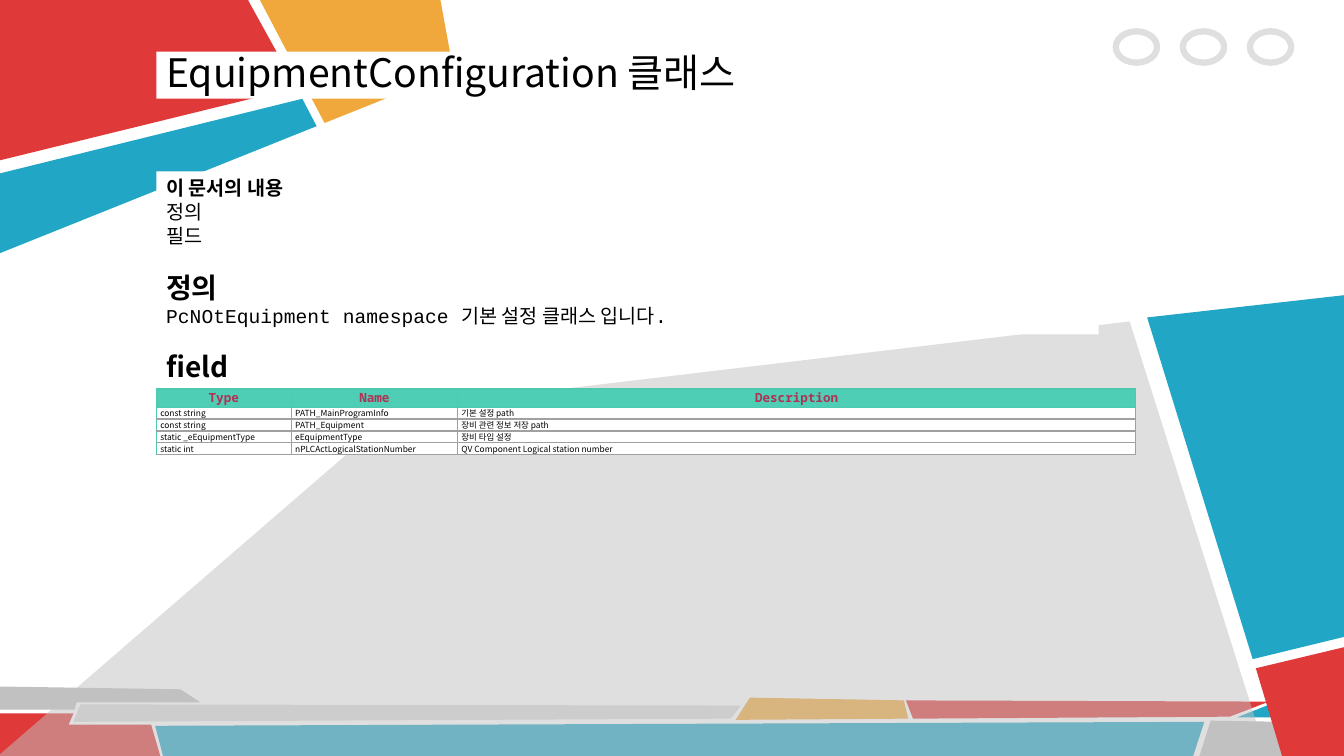
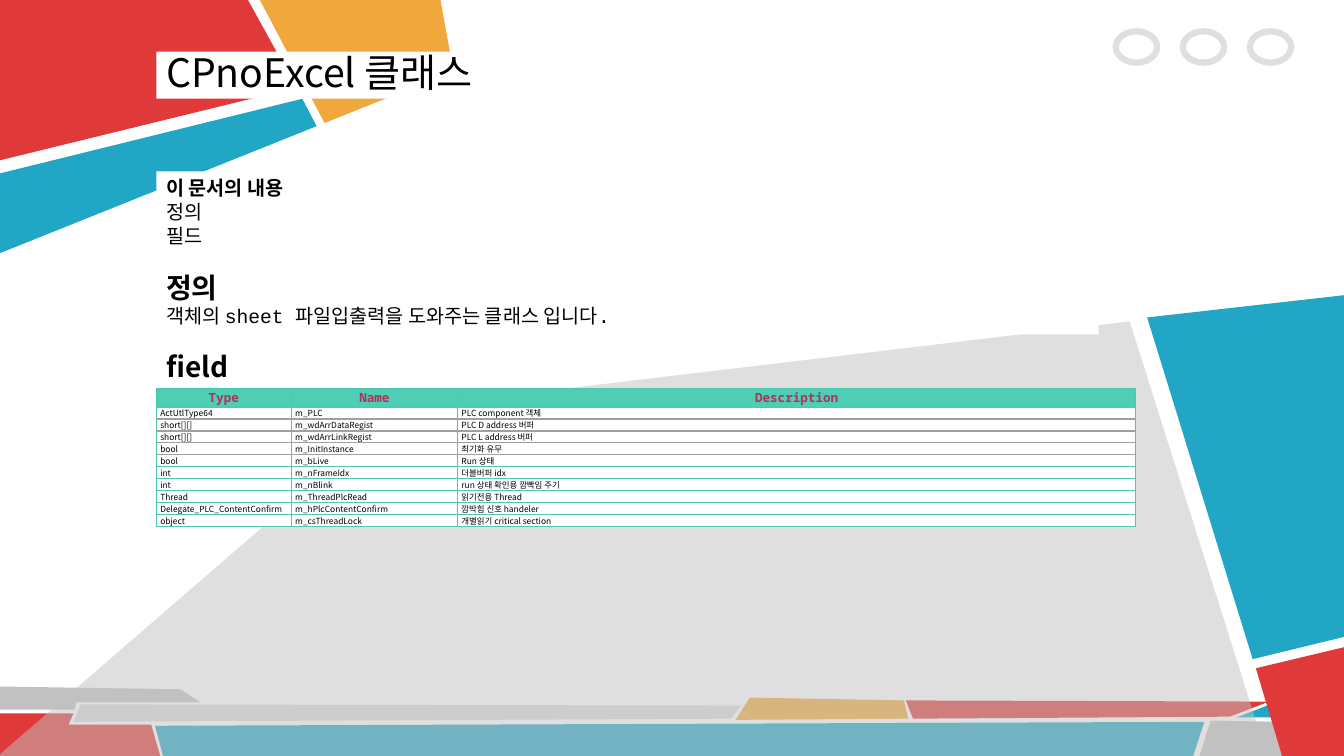
import dataclasses

import pptx
import pptx.dml.color
import pptx.enum.shapes
import pptx.enum.text
import pptx.oxml
import pptx.oxml.ns
import pptx.util
from pptx.util import Cm

SHAPE = pptx.enum.shapes.MSO_SHAPE
ALIGN = pptx.enum.text.PP_ALIGN
ANCHOR = pptx.enum.text.MSO_ANCHOR
FIT = pptx.enum.text.MSO_AUTO_SIZE
qn = pptx.oxml.ns.qn


@dataclasses.dataclass(frozen=True)
class Theme:
    red: str = "DF3939"
    blue: str = "21A6C5"
    orange: str = "F0A73C"
    grey: str = "C1C1C1"
    pale: str = "DADADA"
    white: str = "FFFFFF"
    black: str = "000000"
    header_fill: str = "4ECEB4"
    header_text: str = "B13155"
    border: str = "4EC9B0"
    soft_border: str = "A0A0A0"
    sans: str = "Noto Sans CJK KR"
    code: str = "Courier New"
    mono: str = "Noto Sans Mono"
    title_size: int = 28
    heading_size: int = 20
    body_size: int = 14
    header_size: int = 9
    cell_size: int = 6


THEME = Theme()
LEFT = 3.94
COLUMNS = (3.4, 4.19, 17.09)
HEADER = ("Type", "Name", "Description")

# Corner points in cm, listed from back to front: (colour, opacity in %, points)
BACKDROP = (
    (THEME.grey, 100, ((0, 17.3), (4.55, 17.37), (5.05, 17.7), (1.93, 17.7),
                       (1.88, 17.88), (0, 17.88))),
    (THEME.red, 100, ((0, 17.98), (1.85, 17.98), (1.73, 18.26), (3.81, 18.26),
                      (4.04, 19.05), (0, 19.05))),
    (THEME.pale, 100, ((2.03, 17.75), (18.67, 17.78), (18.42, 18.11), (1.85, 18.19))),
    (THEME.blue, 100, ((3.91, 18.29), (30.35, 18.19), (30.07, 19.05), (4.11, 19.05))),
    (THEME.orange, 100, ((18.9, 17.58), (22.78, 17.65), (22.89, 18.11), (18.54, 18.14))),
    (THEME.red, 100, ((22.83, 17.65), (31.98, 17.68), (30.99, 18.06), (23.01, 18.11))),
    (THEME.blue, 100, ((32.18, 17.68), (33.38, 17.68), (32.31, 18.08), (31.17, 18.08))),
    (THEME.grey, 100, ((30.51, 18.16), (32.36, 18.19), (33.63, 17.68), (33.87, 17.68),
                       (33.87, 19.05), (30.23, 19.05))),
    (THEME.red, 100, ((33.87, 16.31), (33.87, 19.05), (32.31, 19.05), (31.65, 16.84))),
    (THEME.blue, 100, ((28.91, 8), (33.87, 7.44), (33.87, 16.05), (31.57, 16.61))),
    (THEME.grey, 50, ((-0.05, 19.05), (10.08, 10.29), (28.47, 8.1), (31.93, 19.05))),
    (THEME.orange, 100, ((6.55, 0), (8.18, 3.1), (11.43, 1.8), (11.1, 0))),
    (THEME.red, 100, ((0, 0), (0, 4.04), (7.47, 2.21), (6.25, 0))),
    (THEME.blue, 100, ((7.62, 2.49), (7.98, 3.18), (0, 6.38), (0, 4.37))),
)


def rgb(color):
    return pptx.dml.color.RGBColor.from_string(color)


def set_opacity(sp, percent):
    for clr in sp.element.iter(qn("a:srgbClr")):
        alpha = clr.makeelement(qn("a:alpha"), {"val": str(percent * 1000)})
        clr.append(alpha)


def set_border(cell, **colors):
    """Draw 1 pt borders; keys are the sides L, R, T and B."""
    tc_pr = cell._tc.get_or_add_tcPr()
    for side, color in colors.items():
        tc_pr.append(pptx.oxml.parse_xml(
            f'<a:ln{side} xmlns:a="http://schemas.openxmlformats.org/drawingml/2006/main" '
            f'w="12700"><a:solidFill><a:srgbClr val="{color}"/></a:solidFill></a:ln{side}>'))


def set_font(p, size, bold=False, name=THEME.sans, color=THEME.black):
    p.font.size = pptx.util.Pt(size)
    p.font.bold = bold
    p.font.name = name
    p.font.color.rgb = rgb(color)


class Deck:
    def __init__(self, theme):
        self.theme = theme
        self.prs = pptx.Presentation()
        self.prs.slide_width, self.prs.slide_height = Cm(33.87), Cm(19.05)
        self.layout = self.prs.slide_layouts[6]
        self.slide = None

    def new_slide(self):
        self.slide = self.prs.slides.add_slide(self.layout)
        if len(self.prs.slides) == 1:
            self.backdrop()

    def backdrop(self):
        """Draw the shared decoration once and hand it over to the layout."""
        for ph in list(self.layout.placeholders):
            ph.element.getparent().remove(ph.element)
        for color, opacity, points in BACKDROP:
            self.polygon(color, opacity, points)
        for i in range(3):
            self.ring(28.12 + 1.69 * i, 0.79)
        for sp in list(self.slide.shapes):
            self.layout.shapes.element.append(sp.element)

    def polygon(self, color, opacity, points):
        start, *rest = [(Cm(x), Cm(y)) for x, y in points]
        builder = self.slide.shapes.build_freeform(*start, scale=1.0)
        builder.add_line_segments(rest, close=True)
        sp = builder.convert_to_shape()
        sp.shadow.inherit = False
        sp.fill.solid()
        sp.fill.fore_color.rgb = rgb(color)
        sp.line.fill.background()
        if opacity < 100:
            set_opacity(sp, opacity)

    def ring(self, left, top):
        sp = self.slide.shapes.add_shape(SHAPE.OVAL, Cm(left), Cm(top), Cm(1.04), Cm(0.79))
        sp.shadow.inherit = False
        sp.fill.background()
        sp.line.color.rgb = rgb(self.theme.grey)
        sp.line.width = pptx.util.Pt(4.5)
        set_opacity(sp, 50)

    def text_box(self, top, width, height, lines, anchor=ANCHOR.TOP):
        """Add a white panel; each line is (text, font settings)."""
        sp = self.slide.shapes.add_shape(
            SHAPE.RECTANGLE, Cm(LEFT), Cm(top), Cm(width), Cm(height))
        sp.shadow.inherit = False
        sp.fill.solid()
        sp.fill.fore_color.rgb = rgb(self.theme.white)
        sp.line.fill.background()
        tf = sp.text_frame
        tf.word_wrap = True
        tf.vertical_anchor = anchor
        for i, (text, font) in enumerate(lines):
            p = tf.add_paragraph() if i else tf.paragraphs[0]
            p.text = text
            p.alignment = ALIGN.LEFT
            set_font(p, **font)
        return tf

    def title(self, text):
        tf = self.text_box(1.3, 20.29, 1.19, [(text, {"size": self.theme.title_size})],
                           ANCHOR.MIDDLE)
        tf.paragraphs[0].line_spacing = 0.9

    def summary(self, definition):
        body, heading = self.theme.body_size, self.theme.heading_size
        tf = self.text_box(4.32, 23.75, 4.11, [
            ("이 문서의 내용", {"size": body, "bold": True}),
            ("정의", {"size": body}),
            ("필드", {"size": body}),
            ("정의", {"size": heading, "bold": True}),
            (definition, {"size": body, "name": self.theme.code}),
        ])
        tf.auto_size = FIT.SHAPE_TO_FIT_TEXT
        tf.paragraphs[3].space_before = pptx.util.Pt(17)

    def field_heading(self):
        tf = self.text_box(8.69, 4.14, 1.12, [
            ("field", {"size": self.theme.heading_size, "bold": True})])
        tf.auto_size = FIT.SHAPE_TO_FIT_TEXT

    def field_table(self, fields, soft_rows):
        """Add the table; the first soft_rows body rows have grey borders."""
        t = self.theme
        rows = [HEADER, *fields]
        heights = [0.46] + [0.3] * len(fields)
        table = self.slide.shapes.add_table(
            len(rows), len(COLUMNS), Cm(LEFT), Cm(9.8),
            Cm(sum(COLUMNS)), Cm(sum(heights))).table
        table.horz_banding = False
        for column, width in zip(table.columns, COLUMNS):
            column.width = Cm(width)
        for r, (texts, height) in enumerate(zip(rows, heights)):
            table.rows[r].height = Cm(height)
            edge = t.soft_border if 1 <= r <= soft_rows else t.border
            above = t.soft_border if 2 <= r <= soft_rows else t.border
            for c, text in enumerate(texts):
                cell = table.cell(r, c)
                set_border(cell, L=edge if c else t.border, R=edge, T=above, B=edge if r else t.border)
                self.fill_cell(cell, text, is_header=r == 0)

    def fill_cell(self, cell, text, is_header):
        t = self.theme
        cell.fill.solid()
        cell.fill.fore_color.rgb = rgb(t.header_fill if is_header else t.white)
        cell.margin_left = Cm(0 if is_header else 0.1)
        cell.margin_right = cell.margin_top = cell.margin_bottom = Cm(0)
        p = cell.text_frame.paragraphs[0]
        p.text = text
        if is_header:
            cell.vertical_anchor = ANCHOR.MIDDLE
            p.alignment = ALIGN.CENTER
            set_font(p, t.header_size, True, t.mono, t.header_text)
        else:
            set_font(p, t.cell_size)

    def class_page(self, title, definition, fields, soft_rows):
        self.new_slide()
        self.title(title)
        self.summary(definition)
        self.field_heading()
        self.field_table(fields, soft_rows)


def main():
    deck = Deck(THEME)
    deck.class_page(
        "EquipmentConfiguration 클래스",
        "PcNOtEquipment namespace 기본 설정 클래스 입니다.",
        [
            ("const string", "PATH_MainProgramInfo", "기본 설정 path"),
            ("const string", "PATH_Equipment", "장비 관련 정보 저장 path"),
            ("static _eEquipmentType", "eEquipmentType", "장비 타입 설정"),
            ("static int", "nPLCActLogicalStationNumber", "QV Component Logical station number"),
        ],
        soft_rows=4,
    )
    deck.class_page(
        "CPnoExcel 클래스",
        "객체의 sheet 파일입출력을 도와주는 클래스 입니다.",
        [
            ("ActUtlType64", "m_PLC", "PLC component 객체"),
            ("short[][]", "m_wdArrDataRegist", "PLC D address 버퍼"),
            ("short[][]", "m_wdArrLinkRegist", "PLC L address 버퍼"),
            ("bool", "m_InitInstance", "최기화 유무"),
            ("bool", "m_bLive", "Run 상태"),
            ("int", "m_nFrameIdx", "더블버퍼 idx"),
            ("int", "m_nBlink", "run 상태 확인용 깜빡임 주기"),
            ("Thread", "m_ThreadPlcRead", "읽기전용 Thread"),
            ("Delegate_PLC_ContentConfirm", "m_hPlcContentConfirm", "깜박힘 신호 handeler"),
            ("object", "m_csThreadLock", "개별읽기 critical section"),
        ],
        soft_rows=5,
    )
    deck.prs.save("out.pptx")


if __name__ == "__main__":
    main()
